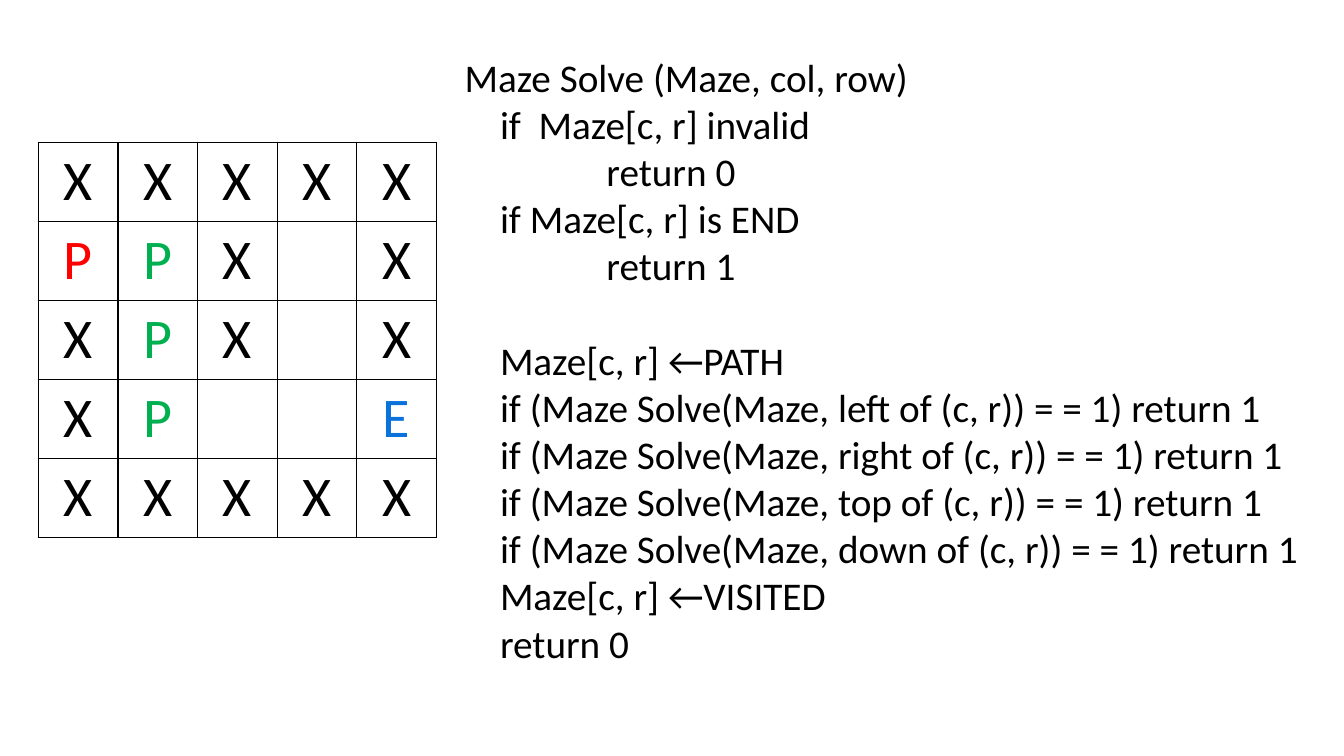
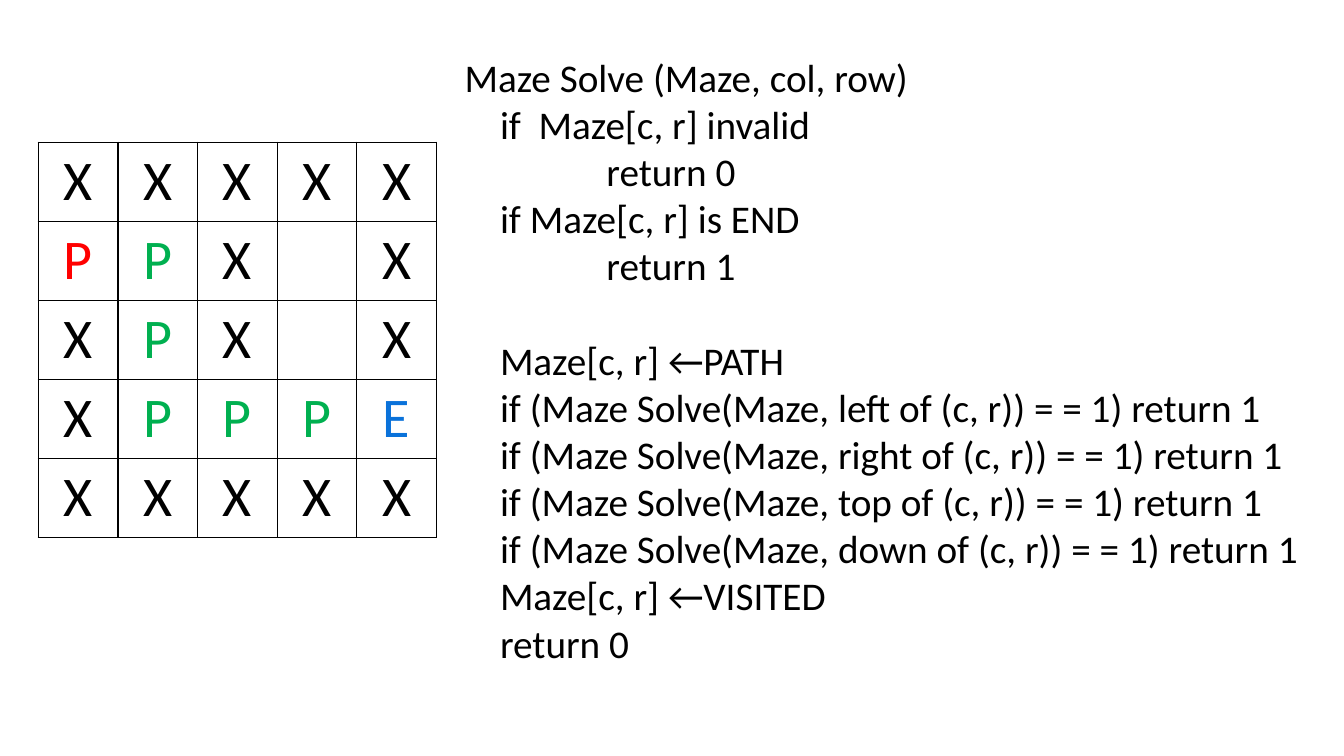
from lxml.etree import SubElement
from pptx import Presentation
from pptx.dml.color import RGBColor
from pptx.enum.text import MSO_ANCHOR, PP_ALIGN
from pptx.oxml.ns import qn
from pptx.util import Inches, Pt

BLACK, START_RED, PATH_GREEN, END_BLUE = "000000", "FF0000", "00B050", "0A72DA"
MARK_COLORS = {"X": BLACK, "S": START_RED, "P": PATH_GREEN, "E": END_BLUE}
CELL_WIDTH, CELL_HEIGHT = 0.79, 0.784
CODE_SIZE = 28
BLOCK_GAP = CODE_SIZE * 1.22  # one line of code

# S marks the start of the path and is shown as a red P.
MAZES = [
    ["XXXXX", "SPX X", "XPX X", "XP  E", "XXXXX"],
    ["XXXXX", "SPX X", "XPX X", "XPPPE", "XXXXX"],
]
CODE_BLOCKS = [
    [
        "Maze Solve (Maze, col, row)",
        "    if  Maze[c, r] invalid",
        "                return 0",
        "    if Maze[c, r] is END",
        "                return 1",
    ],
    [
        "    Maze[c, r] ←PATH",
        *[f"    if (Maze Solve(Maze, {side} of (c, r)) = = 1) return 1"
          for side in ("left", "right", "top", "down")],
        "    Maze[c, r] ←VISITED",
        "    return 0",
    ],
]


def write(paragraph, text, size, color=BLACK, align=PP_ALIGN.LEFT, before=0):
    paragraph.alignment = align
    paragraph.space_before = Pt(before)
    run = paragraph.add_run()
    run.text = text
    run.font.name = "Calibri"
    run.font.size = Pt(size)
    run.font.color.rgb = RGBColor.from_string(color)


def outline_cell(cell):
    properties = cell._tc.get_or_add_tcPr()
    for side in ("a:lnL", "a:lnR", "a:lnT", "a:lnB"):
        line = SubElement(properties, qn(side), w=str(Pt(1)))
        fill = SubElement(line, qn("a:solidFill"))
        SubElement(fill, qn("a:srgbClr"), val=BLACK)
    cell.fill.background()


deck = Presentation()
deck.slide_width, deck.slide_height = Inches(13.33), Inches(7.5)
blank_layout = deck.slide_layouts[6]

for maze in MAZES:
    slide = deck.slides.add_slide(blank_layout)

    row_count, column_count = len(maze), len(maze[0])
    grid = slide.shapes.add_table(
        row_count, column_count, Inches(0.38), Inches(1.41),
        Inches(column_count * CELL_WIDTH), Inches(row_count * CELL_HEIGHT)).table
    grid.first_row = grid.horz_banding = False
    for row, marks in enumerate(maze):
        for column, mark in enumerate(marks):
            cell = grid.cell(row, column)
            outline_cell(cell)
            cell.vertical_anchor = MSO_ANCHOR.TOP
            if mark != " ":
                write(cell.text_frame.paragraphs[0], mark.replace("S", "P"), 40,
                      color=MARK_COLORS[mark], align=PP_ALIGN.CENTER)

    code = slide.shapes.add_textbox(
        Inches(4.51), Inches(0.48), Inches(8.67), Inches(6.23)).text_frame
    code.word_wrap = True
    paragraph = code.paragraphs[0]
    for block_index, block in enumerate(CODE_BLOCKS):
        for line_index, code_line in enumerate(block):
            if block_index or line_index:
                paragraph = code.add_paragraph()
            opens_later_block = block_index > 0 and line_index == 0
            write(paragraph, code_line, CODE_SIZE,
                  before=BLOCK_GAP if opens_later_block else 0)

deck.save("out.pptx")
